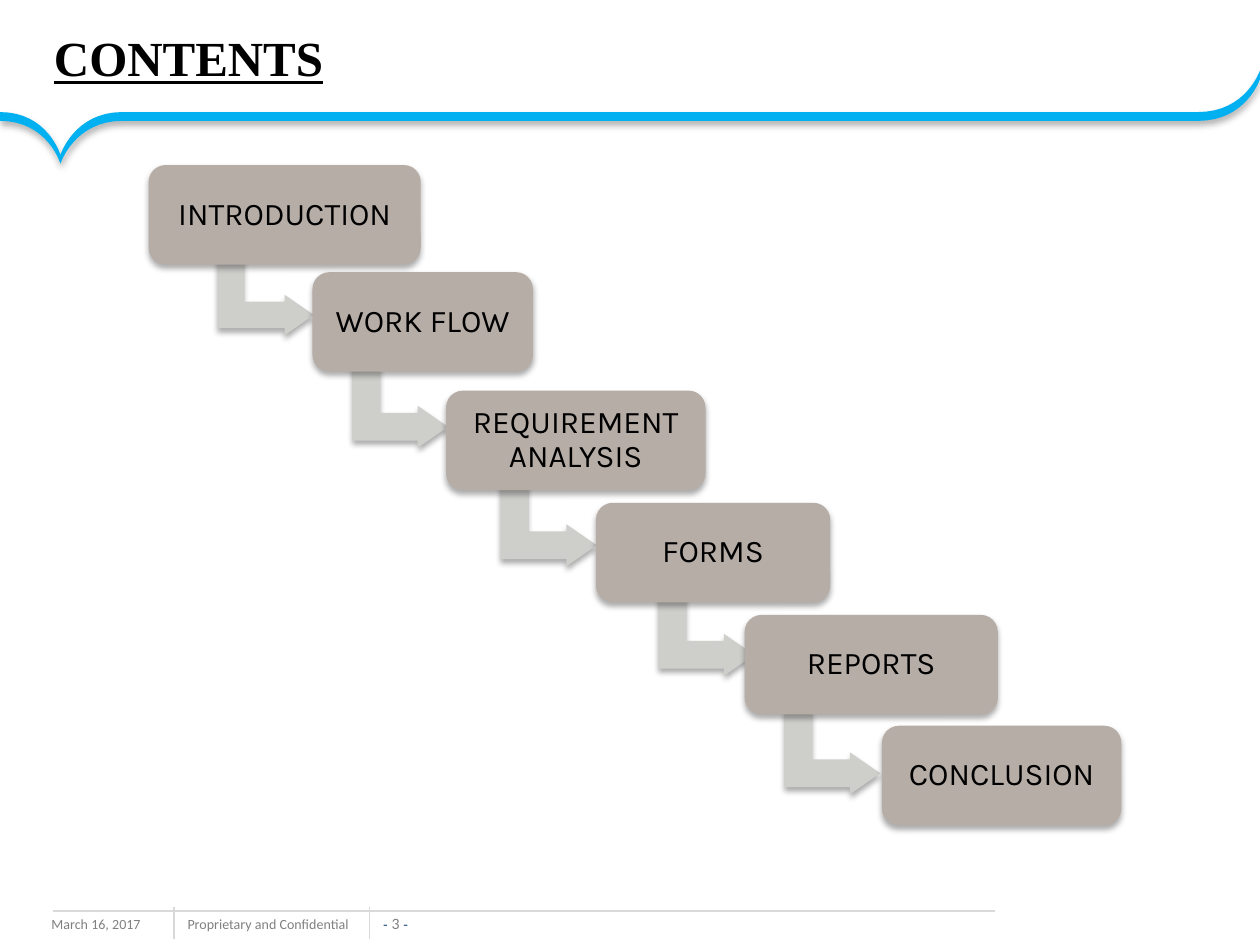
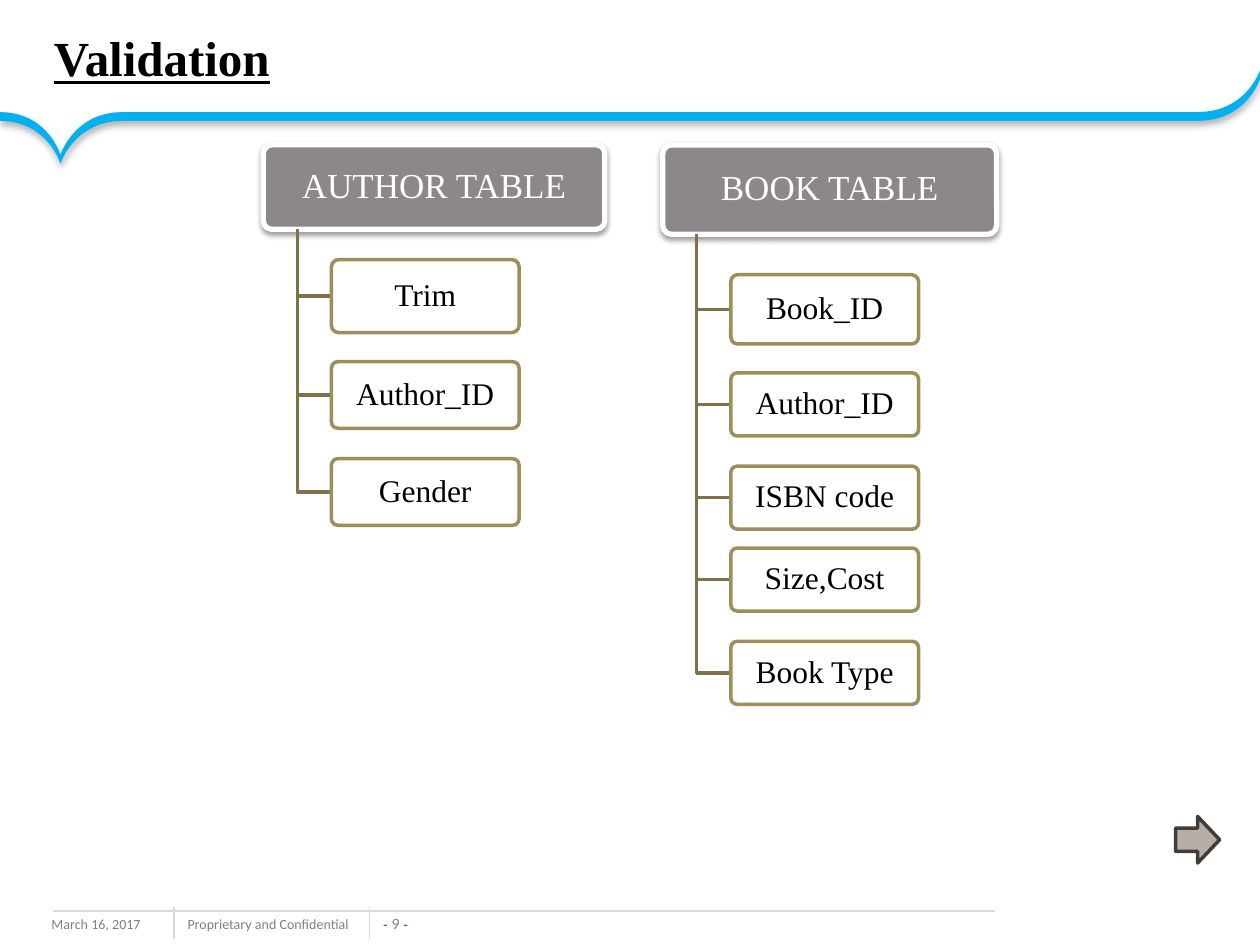
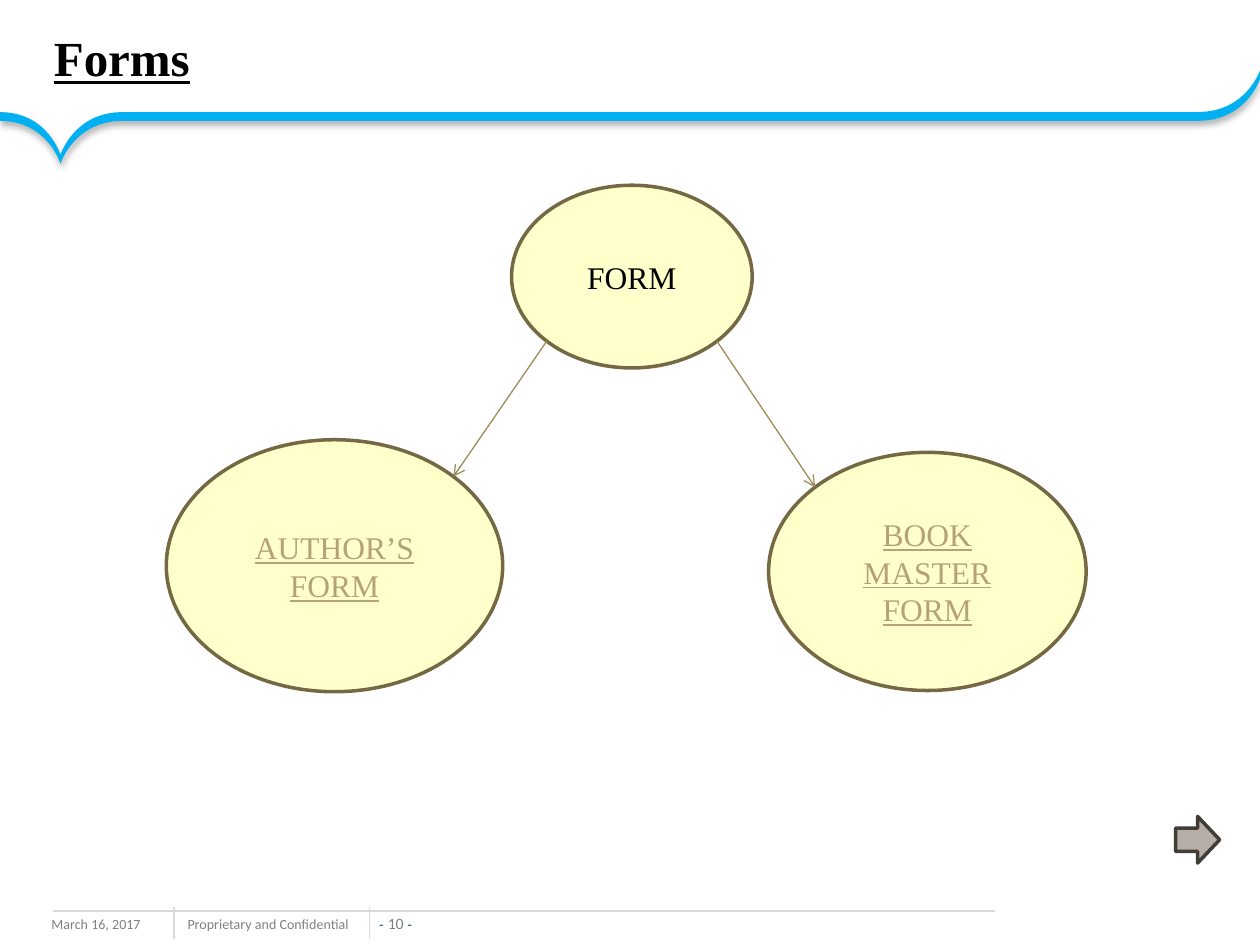
from dataclasses import dataclass
from math import sqrt
from typing import NamedTuple, Optional

from lxml.etree import SubElement
from pptx import Presentation
from pptx.dml.color import RGBColor
from pptx.enum.shapes import MSO_AUTO_SHAPE_TYPE as Preset, MSO_CONNECTOR_TYPE as Link
from pptx.enum.text import MSO_VERTICAL_ANCHOR as Anchor, PP_PARAGRAPH_ALIGNMENT as Align
from pptx.oxml.ns import qn
from pptx.shapes.autoshape import Shape
from pptx.shapes.connector import Connector
from pptx.slide import Slide
from pptx.util import Emu, Inches, Pt

# Grid of square cells, 100 columns by 75 rows; all positions below are in cells
COLUMNS, ROWS = 100, 75
CELL = Inches(0.1)


def cells(count: float) -> Emu:
    return Emu(round(count * CELL))


class Spot(NamedTuple):
    x: float
    y: float


class Box(NamedTuple):
    left: float
    top: float
    width: float
    height: float

    def emu(self) -> list[Emu]:
        return [cells(value) for value in self]

    @property
    def bottom(self) -> float:
        return self.top + self.height

    @property
    def middle(self) -> float:
        return self.top + self.height / 2

    def rim(self, across: int, down: int) -> Spot:
        """Diagonal point on the inscribed ellipse; signs pick the quadrant."""
        return Spot(self.left + self.width / 2 * (1 + across / sqrt(2)),
                    self.middle + self.height / 2 * down / sqrt(2))


class Type(NamedTuple):
    font: str
    size: float
    colour: str
    bold: bool = False
    underline: bool = False


class Line(NamedTuple):
    colour: str
    width: float


class Shadow(NamedTuple):
    alpha: int
    blur: float
    distance: float


class Words(NamedTuple):
    text: str
    type: Type


@dataclass(frozen=True)
class Theme:
    wave: str = "00B0F0"
    step: str = "B7ADA7"
    step_arrow: str = "CECFCB"
    heading: str = "8D878B"
    field: str = "FFFFFF"
    bubble: str = "FFFFCC"
    footer_rule: Line = Line("D9D9D9", 0.75)
    next_edge: Line = Line("423C36", 2)
    heading_edge: Line = Line("FFFFFF", 3)
    field_edge: Line = Line("9E8E5C", 2)
    branch: Line = Line("7F724A", 2)
    bubble_edge: Line = Line("756944", 2)
    bubble_arrow: Line = Line("9C8C58", 0.75)
    wave_shadow: Shadow = Shadow(31, 4, 2)
    step_shadow: Shadow = Shadow(32, 3.5, 2.2)
    heading_shadow: Shadow = Shadow(38, 3.1, 1.6)
    title: Type = Type("Times New Roman", 28, "000000", True, True)
    footer: Type = Type("Calibri", 8, "808080")
    number: Type = Type("Calibri", 9, "808080")
    dash: Type = Type("Arial", 8, "1F497D")
    step_type: Type = Type("Karla", 18, "000000")
    heading_type: Type = Type("Times New Roman", 20, "FFFFFF")
    body: Type = Type("Times New Roman", 18, "000000")
    linked: Type = Type("Times New Roman", 18, "B6A272", underline=True)


THEME = Theme()


# Content types
@dataclass(frozen=True)
class Step:
    label: str
    box: Box
    arrow: Optional[Box] = None


@dataclass(frozen=True)
class Field:
    label: str
    top: float
    height: float


@dataclass(frozen=True)
class TableTree:
    heading: str
    box: Box
    fields: tuple[Field, ...]


@dataclass(frozen=True)
class Bubble:
    label: str
    box: Box
    type: Type


STEPS = (
    Step("INTRODUCTION", Box(11.8, 13.1, 21.6, 7.9), Box(17.9, 19.6, 6.4, 7.6)),
    Step("WORK FLOW", Box(24.8, 21.6, 17.5, 7.9), Box(28.4, 28.4, 6.7, 7.6)),
    Step("REQUIREMENT ANALYSIS", Box(35.4, 31, 20.6, 7.9), Box(40.2, 37.8, 6.7, 7.6)),
    Step("FORMS", Box(47.3, 39.9, 18.6, 7.9), Box(52.7, 46.5, 6.7, 7.6)),
    Step("REPORTS", Box(59.1, 48.8, 20.1, 7.9), Box(62.7, 55.9, 6.7, 7.6)),
    Step("CONCLUSION", Box(70, 57.6, 19, 7.9)),
)
TREES = (
    TableTree("AUTHOR TABLE", Box(20.9, 11.5, 27.1, 6.7), (
        Field("Trim", 20.6, 5.8),
        Field("Author_ID", 28.7, 5.3),
        Field("Gender", 36.4, 5.3))),
    TableTree("BOOK TABLE", Box(52.6, 11.5, 26.5, 7.1), (
        Field("Book_ID", 21.8, 5.5),
        Field("Author_ID", 29.6, 5),
        Field("ISBN code", 37, 5),
        Field("Size,Cost", 43.5, 5),
        Field("Book Type", 50.9, 5))),
)
FORM = Bubble("FORM", Box(40.6, 14.7, 19.1, 14.5), THEME.body)
AUTHOR_FORM = Bubble("AUTHOR’S FORM", Box(13.2, 34.9, 26.7, 20), THEME.linked)
BOOK_FORM = Bubble("BOOK MASTER FORM", Box(61, 35.9, 25.2, 18.9), THEME.linked)


# Drawing helpers
def write(shape: Shape, *words: Words, align: Align = Align.CENTER,
          anchor: Anchor = Anchor.MIDDLE, inset: Optional[tuple[float, float]] = None,
          spacing: Optional[float] = None, wrap: bool = True) -> None:
    frame = shape.text_frame
    frame.word_wrap, frame.vertical_anchor = wrap, anchor
    if inset:
        frame.margin_left = frame.margin_right = cells(inset[0])
        frame.margin_top = frame.margin_bottom = cells(inset[1])
    paragraph = frame.paragraphs[0]
    paragraph.alignment, paragraph.line_spacing = align, spacing
    for text, style in words:
        run = paragraph.add_run()
        run.text = text
        run.font.name, run.font.size = style.font, Pt(style.size)
        run.font.bold, run.font.underline = style.bold, style.underline
        run.font.color.rgb = RGBColor.from_string(style.colour)


def paint(shape: Shape, fill: Optional[str], line: Optional[Line] = None,
          shadow: Optional[Shadow] = None) -> Shape:
    if fill:
        shape.fill.solid()
        shape.fill.fore_color.rgb = RGBColor.from_string(fill)
    else:
        shape.fill.background()
    if line:
        shape.line.color.rgb = RGBColor.from_string(line.colour)
        shape.line.width = Pt(line.width)
    else:
        shape.line.fill.background()
    shape.shadow.inherit = False
    if shadow:
        effects = shape._element.spPr.find(qn("a:effectLst"))
        outer = SubElement(effects, qn("a:outerShdw"), blurRad=str(Pt(shadow.blur)),
                           dist=str(Pt(shadow.distance)), dir="5400000", rotWithShape="0")
        black = SubElement(outer, qn("a:srgbClr"), val="000000")
        SubElement(black, qn("a:alpha"), val=str(shadow.alpha * 1000))
    return shape


def add_preset(slide: Slide, preset: Preset, box: Box, fill: str,
               line: Optional[Line] = None, shadow: Optional[Shadow] = None,
               adjust: tuple[float, ...] = ()) -> Shape:
    shape = slide.shapes.add_shape(preset, *box.emu())
    for index, value in enumerate(adjust):
        shape.adjustments[index] = value
    return paint(shape, fill, line, shadow)


def add_text(slide: Slide, box: Box, *words: Words, align: Align = Align.LEFT,
             anchor: Anchor = Anchor.TOP, inset: Optional[tuple[float, float]] = None,
             wrap: bool = True) -> None:
    write(slide.shapes.add_textbox(*box.emu()), *words, align=align, anchor=anchor,
          inset=inset, wrap=wrap)


def add_outline(slide: Slide, spots: list[Spot], close: bool) -> Shape:
    points = [(cells(spot.x), cells(spot.y)) for spot in spots]
    builder = slide.shapes.build_freeform(*points[0], scale=1.0)
    builder.add_line_segments(points[1:], close=close)
    return builder.convert_to_shape()


def add_rule(slide: Slide, start: Spot, end: Spot, line: Line, arrow: bool = False) -> Connector:
    rule = slide.shapes.add_connector(Link.STRAIGHT, *map(cells, (*start, *end)))
    rule.line.color.rgb = RGBColor.from_string(line.colour)
    rule.line.width = Pt(line.width)
    if arrow:
        SubElement(rule.line._get_or_add_ln(), qn("a:tailEnd"), type="arrow")
    SubElement(rule._element.spPr, qn("a:effectLst"))
    return rule


def curve(start: Spot, pull_start: Spot, pull_end: Spot, end: Spot, pieces: int = 16) -> list[Spot]:
    """Points along a cubic Bézier curve."""
    spots = []
    for piece in range(pieces + 1):
        t = piece / pieces
        weights = ((1 - t) ** 3, 3 * t * (1 - t) ** 2, 3 * t * t * (1 - t), t ** 3)
        spots.append(Spot(*(sum(w * value for w, value in zip(weights, axis))
                            for axis in zip(start, pull_start, pull_end, end))))
    return spots


# Parts shared by the slides
def add_wave(slide: Slide) -> None:
    level, thickness = 8.9, 0.7
    dip, crest = Spot(4.8, 12.3), Spot(COLUMNS, 5.6)
    upper = [
        *curve(Spot(0, level), Spot(3.8, level), dip, dip),
        *curve(dip, dip, Spot(5.9, level), Spot(9.7, level)),
        *curve(Spot(95.1, level), Spot(98.9, level), crest, crest),
    ]
    lower = [Spot(x, y + thickness) for x, y in reversed(upper)]
    paint(add_outline(slide, upper + lower, close=True), THEME.wave, shadow=THEME.wave_shadow)


def add_footer(slide: Slide, number: int) -> None:
    add_text(slide, Box(3.1, 72.2, 13.3, 2.5), Words("March 16, 2017", THEME.footer))
    add_text(slide, Box(13.9, 72.2, 15.7, 2.4),
             Words("Proprietary and Confidential", THEME.footer), wrap=False)
    # Wide enough to keep a two-digit number on one line below the rule
    add_text(slide, Box(29.6, 72.5, 3.6, 1.5), Words("- ", THEME.dash),
             Words(f"{number} ", THEME.number), Words("-", THEME.dash),
             align=Align.CENTER, anchor=Anchor.BOTTOM, inset=(0, 0))
    for x in (13.8, 29.3):
        add_rule(slide, Spot(x, 72), Spot(x, 74.5), THEME.footer_rule)
    add_rule(slide, Spot(79, 72.3), Spot(4.2, 72.3), THEME.footer_rule)


def add_page(deck: Presentation, title: str, number: int) -> Slide:
    slide = deck.slides.add_slide(deck.slide_layouts[6])
    add_footer(slide, number)
    add_wave(slide)
    add_text(slide, Box(3.3, 0.2, 90, 8.7), Words(title, THEME.title), anchor=Anchor.MIDDLE)
    return slide


def add_next_arrow(slide: Slide) -> None:
    add_preset(slide, Preset.RIGHT_ARROW, Box(93.3, 64.8, 3.5, 3.7), THEME.step, THEME.next_edge)


# Parts of single slides
def add_step(slide: Slide, step: Step) -> None:
    if step.arrow:
        arrow = add_preset(slide, Preset.BENT_UP_ARROW, step.arrow, THEME.step_arrow,
                           shadow=THEME.step_shadow, adjust=(0.33, 0.25, 0.36))
        arrow.rotation = 90
    card = add_preset(slide, Preset.ROUNDED_RECTANGLE, step.box, THEME.step,
                      shadow=THEME.step_shadow, adjust=(0.17,))
    write(card, Words(step.label, THEME.step_type), inset=(1.1, 1.1), spacing=0.9)


def add_tree(slide: Slide, tree: TableTree) -> None:
    indent, inset = 2.7, (0.6, 0.5)
    heading = add_preset(slide, Preset.ROUNDED_RECTANGLE, tree.box, THEME.heading,
                         THEME.heading_edge, THEME.heading_shadow, (0.1,))
    write(heading, Words(tree.heading, THEME.heading_type), inset=inset, spacing=0.9)
    stem = tree.box.left + indent
    for field in tree.fields:
        box = Box(stem + indent, field.top, 14.9, field.height)
        branch = [Spot(stem, tree.box.bottom), Spot(stem, box.middle), Spot(box.left, box.middle)]
        paint(add_outline(slide, branch, close=False), None, THEME.branch)
        card = add_preset(slide, Preset.ROUNDED_RECTANGLE, box, THEME.field,
                          THEME.field_edge, adjust=(0.1,))
        colour = card._element.spPr.find(qn("a:solidFill")).find(qn("a:srgbClr"))
        SubElement(colour, qn("a:alpha"), val="90000")
        write(card, Words(field.label, THEME.body), inset=inset, spacing=0.9)


def add_bubble(slide: Slide, bubble: Bubble) -> None:
    oval = add_preset(slide, Preset.OVAL, bubble.box, THEME.bubble, THEME.bubble_edge)
    write(oval, Words(bubble.label, bubble.type))


def main() -> None:
    deck = Presentation()
    deck.slide_width, deck.slide_height = cells(COLUMNS), cells(ROWS)

    contents = add_page(deck, "CONTENTS", 3)
    for step in STEPS:
        add_step(contents, step)

    validation = add_page(deck, "Validation", 9)
    add_next_arrow(validation)
    for tree in TREES:
        add_tree(validation, tree)

    forms = add_page(deck, "Forms", 10)
    add_next_arrow(forms)
    for bubble in (FORM, AUTHOR_FORM, BOOK_FORM):
        add_bubble(forms, bubble)
    for target, side in ((AUTHOR_FORM, -1), (BOOK_FORM, 1)):
        add_rule(forms, FORM.box.rim(side, 1), target.box.rim(-side, -1),
                 THEME.bubble_arrow, arrow=True)

    deck.save("out.pptx")


if __name__ == "__main__":
    main()
